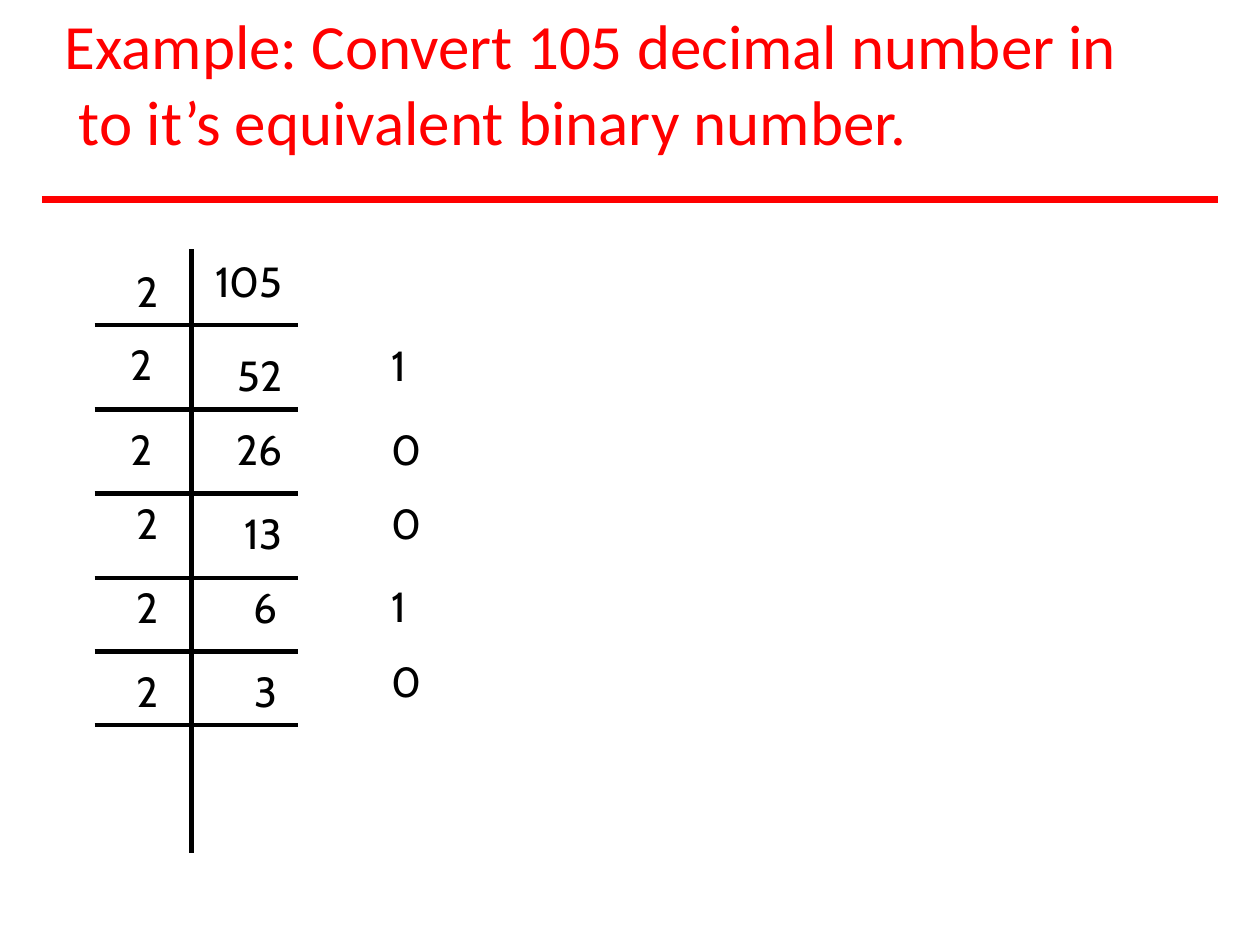
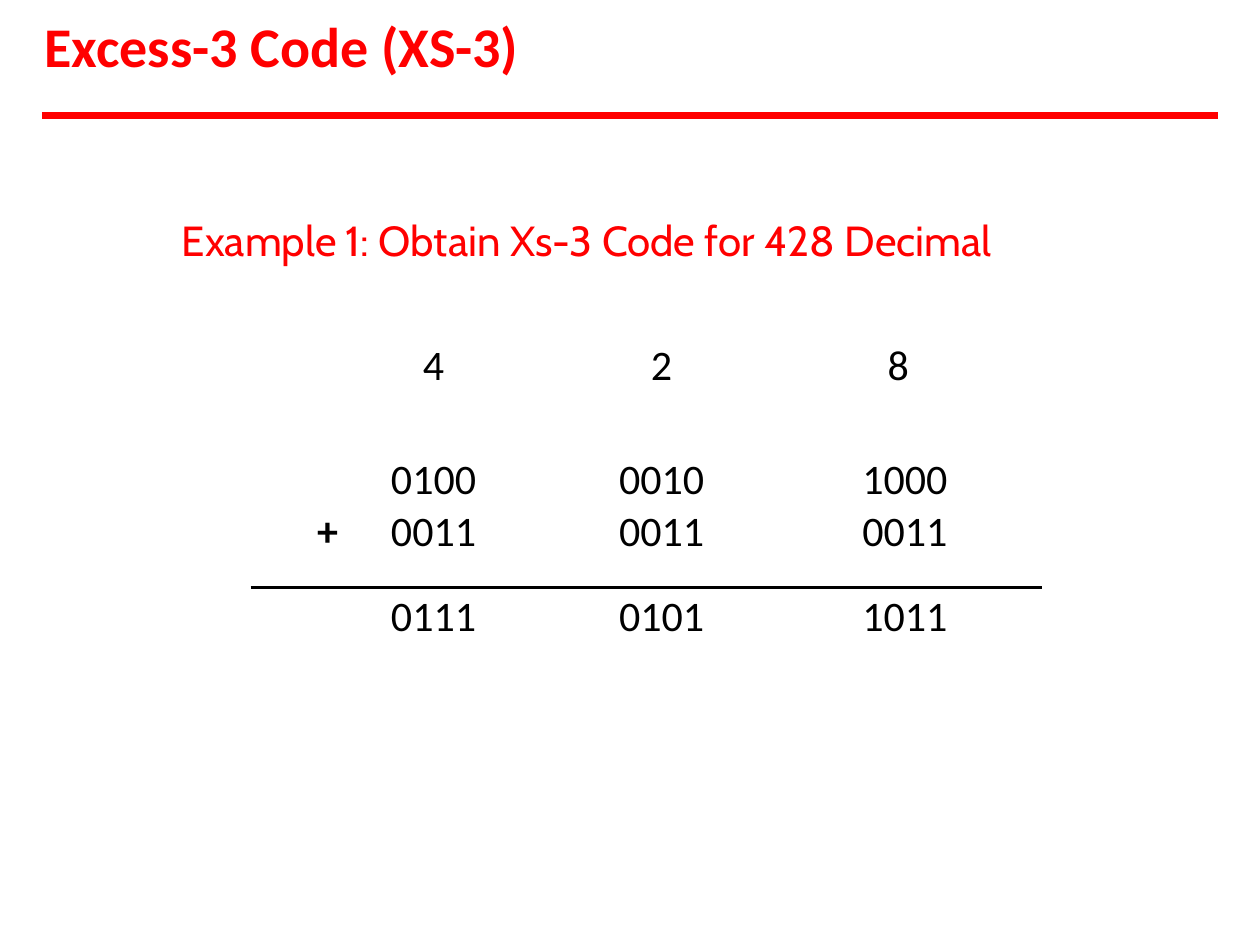
from lxml.etree import SubElement
from pptx import Presentation
from pptx.dml.color import RGBColor
from pptx.enum.shapes import MSO_CONNECTOR
from pptx.enum.text import MSO_ANCHOR, MSO_AUTO_SIZE, PP_ALIGN as Align
from pptx.oxml.ns import qn
from pptx.util import Pt

# Content: division steps as (divisor, its top and right margin, number, its top and right margin)
DIVISION_TITLE = "Example: Convert 105 decimal number in to it’s equivalent binary number."
DIVISION_STEPS = [
    (("2", 10.2, 19), ("105", 4.2, 9)),
    (("2", 8.6, 22), ("52", 15, 9)),
    (("2", 9, 22), ("26", 9, 9)),
    (("2", 3, 19), ("13", 9, 9)),
    (("2", 3, 19), ("6", 3, 12)),
    (("2", 8.7, 19), ("3", 9, 12)),
]
DIVISION_COLUMNS = [55.3, 61.2]
DIVISION_ROWS = [43.2, 48.2, 48.2, 48.2, 42, 42, 73]
REMAINDERS = [("1", 0), ("0", 19.2), ("0", 13.6), ("1", 18.8), ("0", 13.6)]

EXCESS_TITLE = "Excess-3 Code (XS-3)"
EXCESS_EXAMPLE = "Example 1: Obtain Xs-3 Code for 428 Decimal"
# Rows of the sum: (height, top margin, exact line spacing, right margins, texts)
DIGIT_MARGINS, CODE_MARGINS = (0, 27, 6, 17), (0, 27, 6, 9.5)
EXCESS_ROWS = [
    (44.4, 0, 22.8, DIGIT_MARGINS, ("", "4", "2", "8")),
    (47.4, 14.6, None, CODE_MARGINS, ("", "0100", "0010", "1000")),
    (43, 0, 25.9, CODE_MARGINS, ("+", "0011", "0011", "0011")),
    (32.4, 2.2, None, CODE_MARGINS, ("", "0111", "0101", "1011")),
]
EXCESS_COLUMNS = [65.5, 105.1, 134.6, 146.9]
PLUS_INDENT = 38

# Shared look
RED = RGBColor(0xFF, 0x00, 0x00)
BLACK = RGBColor(0x00, 0x00, 0x00)
TITLE_FONT, BODY_FONT = "Calibri", "Cabin"
BODY_SIZE = 24
RULE_LEFT, RULE_RIGHT, RULE_WIDTH = 24, 696, 4


def style(para, font, size, color, bold=False):
    para.font.name = font
    para.font.size = Pt(size)
    para.font.color.rgb = color
    para.font.bold = bold


def set_margins(target, left=0, top=0, right=0):
    target.margin_left, target.margin_top = Pt(left), Pt(top)
    target.margin_right, target.margin_bottom = Pt(right), Pt(0)


def prepare_frame(frame):
    frame.word_wrap = True
    frame.auto_size = MSO_AUTO_SIZE.NONE
    frame.vertical_anchor = MSO_ANCHOR.TOP
    set_margins(frame, left=1, top=1)


def add_titled_slide(deck, text, left, top, width, height, size, rule_top, bold=False):
    """Add a slide with a red title and the red rule below it."""
    slide = deck.slides.add_slide(deck.slide_layouts[5])
    title = slide.shapes.title
    title.left, title.top, title.width, title.height = map(Pt, (left, top, width, height))
    prepare_frame(title.text_frame)
    title.text_frame.text = text
    para = title.text_frame.paragraphs[0]
    para.alignment = Align.LEFT
    style(para, TITLE_FONT, size, RED, bold)

    rule = slide.shapes.add_connector(
        MSO_CONNECTOR.STRAIGHT, Pt(RULE_LEFT), Pt(rule_top), Pt(RULE_RIGHT), Pt(rule_top))
    rule.line.color.rgb = RED
    rule.line.width = Pt(RULE_WIDTH)
    SubElement(rule._element.spPr, qn("a:effectLst"))
    return slide


def add_text(slide, left, top, width, height, lines, color):
    """Add a text box; lines are (text, space before)."""
    box = slide.shapes.add_textbox(Pt(left), Pt(top), Pt(width), Pt(height))
    frame = box.text_frame
    prepare_frame(frame)
    for index, (text, gap) in enumerate(lines):
        para = frame.add_paragraph() if index else frame.paragraphs[0]
        para.text = text
        para.space_before = Pt(gap)
        style(para, BODY_FONT, BODY_SIZE, color)


def set_borders(cell, sides, width):
    """Draw the named sides (from L, R, T, B) in black and hide the others."""
    properties = cell._tc.get_or_add_tcPr()
    for side in "LRTB":
        line = SubElement(properties, qn(f"a:ln{side}"), w=str(Pt(width)))
        if side in sides:
            fill = SubElement(line, qn("a:solidFill"))
            SubElement(fill, qn("a:srgbClr"), val=str(BLACK))
        else:
            SubElement(line, qn("a:noFill"))


def add_grid(slide, left, top, columns, rows, line_width, ruled_rows, ruled_columns):
    """Add a clear table with lines after the given rows and columns."""
    table = slide.shapes.add_table(
        len(rows), len(columns), Pt(left), Pt(top), Pt(sum(columns)), Pt(sum(rows))).table
    table.first_row = table.horz_banding = False
    for column, width in zip(table.columns, columns):
        column.width = Pt(width)
    for r, height in enumerate(rows):
        table.rows[r].height = Pt(height)
        for c in range(len(columns)):
            cell = table.cell(r, c)
            lines = {"L": c - 1 in ruled_columns, "R": c in ruled_columns,
                     "T": r - 1 in ruled_rows, "B": r in ruled_rows}
            set_borders(cell, [side for side, drawn in lines.items() if drawn], line_width)
            cell.fill.background()
            set_margins(cell)
    return table


def fill_cell(cell, text, font, align, left=0, top=0, right=0, spacing=None, bold=False):
    cell.text = text
    set_margins(cell, left, top, right)
    para = cell.text_frame.paragraphs[0]
    para.alignment = align
    if spacing:
        para.line_spacing = Pt(spacing)
    style(para, font, BODY_SIZE, BLACK, bold)


def build_division(deck):
    slide = add_titled_slide(deck, DIVISION_TITLE, 36, 3, 610, 88.5, 36, 113.8)
    # Hanging indent for the second title line
    properties = slide.shapes.title.text_frame.paragraphs[0]._p.get_or_add_pPr()
    properties.set("marL", str(Pt(8)))
    properties.set("indent", str(Pt(-8)))

    table = add_grid(slide, 54, 142.5, DIVISION_COLUMNS, DIVISION_ROWS, 3,
                     ruled_rows=range(len(DIVISION_STEPS)), ruled_columns=[0])
    for r, step in enumerate(DIVISION_STEPS):
        for c, (text, top, right) in enumerate(step):
            fill_cell(table.cell(r, c), text, BODY_FONT, Align.RIGHT, top=top, right=right)
    add_text(slide, 223, 193, 20, 211, REMAINDERS, BLACK)


def build_excess(deck):
    slide = add_titled_slide(deck, EXCESS_TITLE, 24.5, 5.8, 280, 40.3, 32, 66, bold=True)
    add_text(slide, 103, 121.7, 487.5, 31, [(EXCESS_EXAMPLE, 0)], RED)

    heights = [row[0] for row in EXCESS_ROWS]
    table = add_grid(slide, 143.2, 200.9, EXCESS_COLUMNS, heights, 2.25,
                     ruled_rows=[2], ruled_columns=[])
    table.cell(0, 0).merge(table.cell(1, 0))
    for r, (_, top, spacing, margins, texts) in enumerate(EXCESS_ROWS):
        for c, (text, right) in enumerate(zip(texts, margins)):
            if text == "+":
                fill_cell(table.cell(r, c), text, TITLE_FONT, Align.LEFT,
                          left=PLUS_INDENT, spacing=spacing, bold=True)
            elif text:
                fill_cell(table.cell(r, c), text, TITLE_FONT, Align.CENTER,
                          top=top, right=right, spacing=spacing)


def main():
    deck = Presentation()
    deck.slide_width, deck.slide_height = Pt(720), Pt(540)
    build_division(deck)
    build_excess(deck)
    deck.save("out.pptx")


if __name__ == "__main__":
    main()
